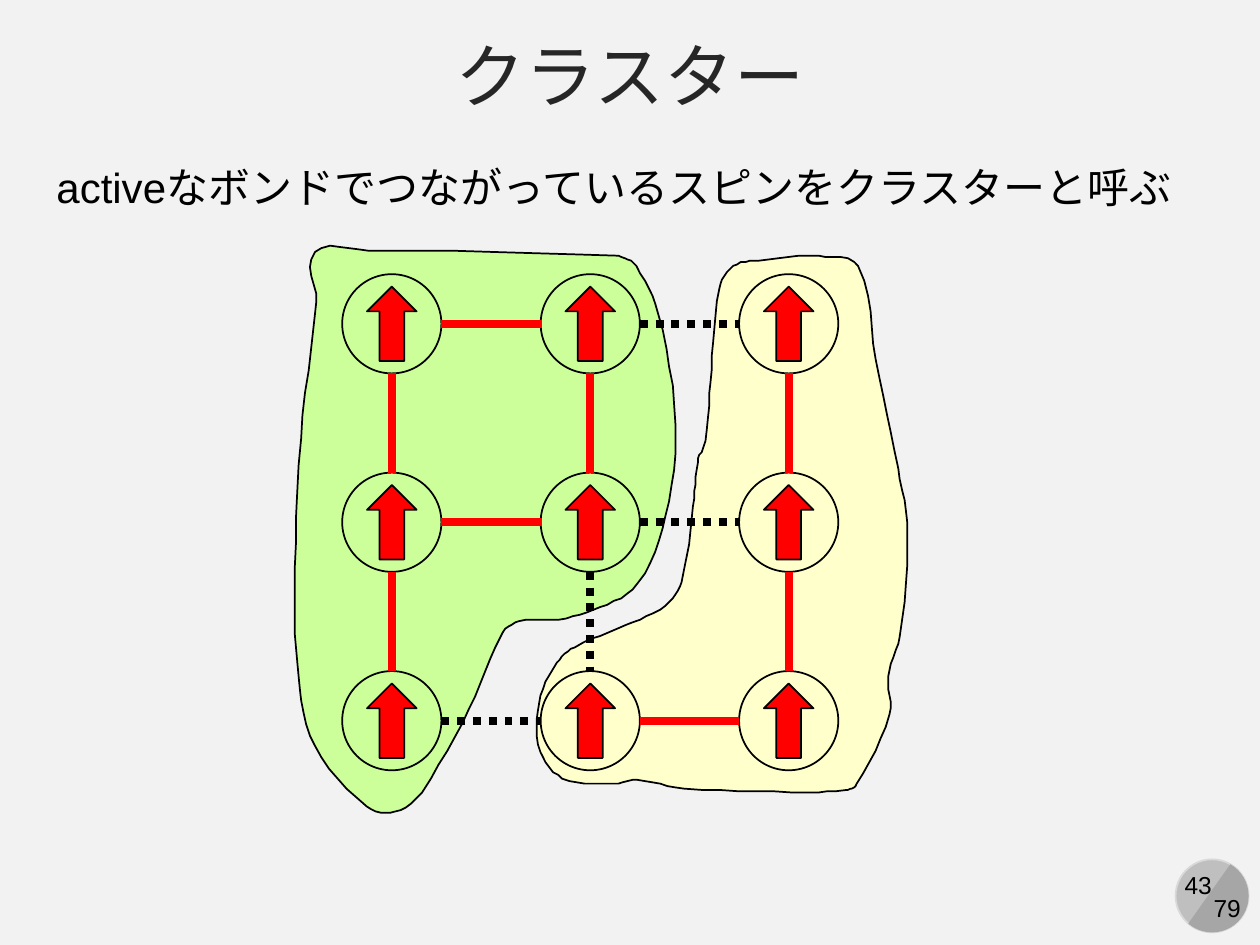
import itertools
import math

import pptx
import pptx.dml.color
import pptx.enum.dml
import pptx.enum.shapes
import pptx.enum.text
import pptx.oxml
import pptx.oxml.ns
import pptx.util

RGB = pptx.dml.color.RGBColor
Inches = pptx.util.Inches
Shape = pptx.enum.shapes.MSO_SHAPE
Align = pptx.enum.text.PP_ALIGN

BACKGROUND = RGB(0xF2, 0xF2, 0xF2)
BLACK = RGB(0, 0, 0)
TITLE_GREY = RGB(0x26, 0x26, 0x26)
RED = RGB(0xFF, 0, 0)
GREEN = RGB(0xCC, 0xFF, 0x99)
YELLOW = RGB(0xFF, 0xFF, 0xCC)
BADGE = RGB(0xBF, 0xBF, 0xBF)
BADGE_EDGE = RGB(0xD9, 0xD9, 0xD9)
BADGE_SHADE = RGB(0xA6, 0xA6, 0xA6)

FIRST_X, FIRST_Y, PITCH = 3.11, 2.57, 1.575
DIAMETER = PITCH / 2
ARROW_SIZE = (DIAMETER / 2, DIAMETER * 0.75)
HUNDREDTH_INCH = 9144
CURVE_STEPS = 6

SPINS = [(column, row) for row in range(3) for column in range(3)]
RIGHT_SPINS = {(2, 0), (2, 1), (2, 2), (1, 2)}

LEFT_SIDES = {
    "top": [(-0.39, -0.36), (-0.12, -0.37), (1.14, -0.34), (1.23, -0.29)],
    "right": [(1.34, -0.06), (1.43, 0.5), (1.38, 0.97), (1.24, 1.31)],
    "notch": [(1.05, 1.43), (0.84, 1.49), (0.64, 1.5), (0.55, 1.57), (0.39, 1.94)],
    "bottom": [(0.15, 2.36), (0.02, 2.46), (-0.13, 2.43), (-0.39, 2.13)],
    "left": [(-0.47, 1.78), (-0.49, 1.35), (-0.46, 0.58), (-0.38, -0.11)],
}
RIGHT_SIDES = {
    "top": [(1.72, -0.29), (1.85, -0.32), (2.15, -0.34), (2.35, -0.29)],
    "right": [(2.44, 0.18), (2.55, 0.73), (2.6, 1.05), (2.56, 1.58),
              (2.5, 1.78), (2.51, 1.97)],
    "bottom": [(2.34, 2.32), (2.29, 2.35), (2.01, 2.36), (1.47, 2.34),
               (1.24, 2.3), (1.09, 2.32), (0.86, 2.29)],
    "foot": [(0.75, 2.16), (0.74, 1.91), (0.83, 1.71), (0.92, 1.63)],
    "notch": [(1.18, 1.52), (1.38, 1.42), (1.46, 1.3)],
    "left": [(1.52, 0.92), (1.54, 0.7), (1.58, 0.59), (1.61, 0.23), (1.65, -0.18)],
}


def grid_point(column, row):
    return FIRST_X + column * PITCH, FIRST_Y + row * PITCH


def blend(start, end, share):
    return tuple(a + (b - a) * share for a, b in zip(start, end))


def smooth_outline(knots):
    count = len(knots)
    outline = []
    for index in range(count):
        before, start, end, after = (knots[(index + step) % count] for step in (-1, 0, 1, 2))
        reach = math.dist(start, end) / 3
        leave = blend(start, [s + e - b for s, e, b in zip(start, end, before)],
                      reach / math.dist(before, end))
        arrive = blend(end, [e + s - a for s, e, a in zip(start, end, after)],
                       reach / math.dist(start, after))
        for step in range(CURVE_STEPS):
            points = [start, leave, arrive, end]
            while len(points) > 1:
                points = [blend(a, b, step / CURVE_STEPS)
                          for a, b in itertools.pairwise(points)]
            outline.append(points[0])
    return outline


def paint(shape, fill=None, line=None):
    shape.shadow.inherit = False
    for part, color in ((shape.fill, fill), (shape.line.fill, line)):
        if color is None:
            part.background()
        else:
            part.solid()
            part.fore_color.rgb = color
    if line is not None:
        shape.line.width = pptx.util.Pt(1)


def add_figure(shapes, kind, center, size, **look):
    corner = [middle - length / 2 for middle, length in zip(center, size)]
    figure = shapes.add_shape(kind, *map(Inches, (*corner, *size)))
    paint(figure, **look)
    return figure


def add_text(page, words, place, size, color=BLACK, align=Align.LEFT, **frame):
    box = page.shapes.add_textbox(*map(Inches, place))
    para = box.text_frame.paragraphs[0]
    span = para.add_run()
    span.text = words
    span.font.color.rgb = color
    formats = (
        (box.text_frame, {"word_wrap": False, **frame}),
        (para, {"alignment": align}),
        (span.font, {"name": "Arial", "size": pptx.util.Pt(size)}),
    )
    for target, values in formats:
        for name, value in values.items():
            setattr(target, name, value)


def add_cluster(page, sides, color):
    knots = [grid_point(*knot) for knot in itertools.chain(*sides.values())]
    outline = [(x * 100, y * 100) for x, y in smooth_outline(knots)]
    builder = page.shapes.build_freeform(*outline[0], scale=HUNDREDTH_INCH)
    builder.add_line_segments(outline[1:], close=True)
    paint(builder.convert_to_shape(), fill=color, line=BLACK)


def add_spin(page, spin):
    group = page.shapes.add_group_shape()
    center = grid_point(*spin)
    add_figure(group.shapes, Shape.OVAL, center, (DIAMETER, DIAMETER), line=BLACK)
    add_figure(group.shapes, Shape.UP_ARROW, center, ARROW_SIZE, fill=RED, line=BLACK)


def add_bond(page, first, second):
    start, end = grid_point(*first), grid_point(*second)
    ends = (*blend(start, end, 0.25), *blend(start, end, 0.75))
    bond = page.shapes.add_connector(
        pptx.enum.shapes.MSO_CONNECTOR.STRAIGHT, *map(Inches, ends))
    active = (first in RIGHT_SPINS) == (second in RIGHT_SPINS)
    bond.line.color.rgb = RED if active else BLACK
    bond.line.width = pptx.util.Pt(4.5)
    if not active:
        bond.line.dash_style = pptx.enum.dml.MSO_LINE.ROUND_DOT
    bond._element.spPr.append(
        pptx.oxml.parse_xml("<a:effectLst %s/>" % pptx.oxml.ns.nsdecls("a")))


def add_page_badge(page, number, total):
    center = (9.62, 7.11)
    add_figure(page.shapes, Shape.OVAL, center, (0.58, 0.58), fill=BADGE, line=BADGE_EDGE)
    add_text(page, number, (9.29, 6.86, 0.44, 0.34), 14, align=Align.CENTER)
    shade = add_figure(page.shapes, Shape.CHORD, center, (0.58, 0.58), fill=BADGE_SHADE)
    shade.rotation = 255
    shade.adjustments[0], shade.adjustments[1] = 27, 141.42
    add_text(page, total, (9.53, 7.04, 0.42, 0.34), 14, align=Align.CENTER)


def main():
    deck = pptx.Presentation()
    deck.slide_width, deck.slide_height = Inches(10), Inches(7.5)
    page = deck.slides.add_slide(deck.slide_layouts[6])
    page.background.fill.solid()
    page.background.fill.fore_color.rgb = BACKGROUND

    add_page_badge(page, "43", "79")
    add_cluster(page, LEFT_SIDES, GREEN)
    add_cluster(page, RIGHT_SIDES, YELLOW)
    add_text(page, "クラスター", (0, 0.18, 10, 0.82), 40, TITLE_GREY, Align.CENTER,
             word_wrap=True, vertical_anchor=pptx.enum.text.MSO_ANCHOR.MIDDLE)
    for spin in SPINS:
        add_spin(page, spin)
    for first, second in itertools.combinations(SPINS, 2):
        if math.dist(first, second) == 1:
            add_bond(page, first, second)
    add_text(page, "activeなボンドでつながっているスピンをクラスターと呼ぶ",
             (0.35, 1.23, 9.16, 0.5), 24)
    deck.save("out.pptx")


if __name__ == "__main__":
    main()
